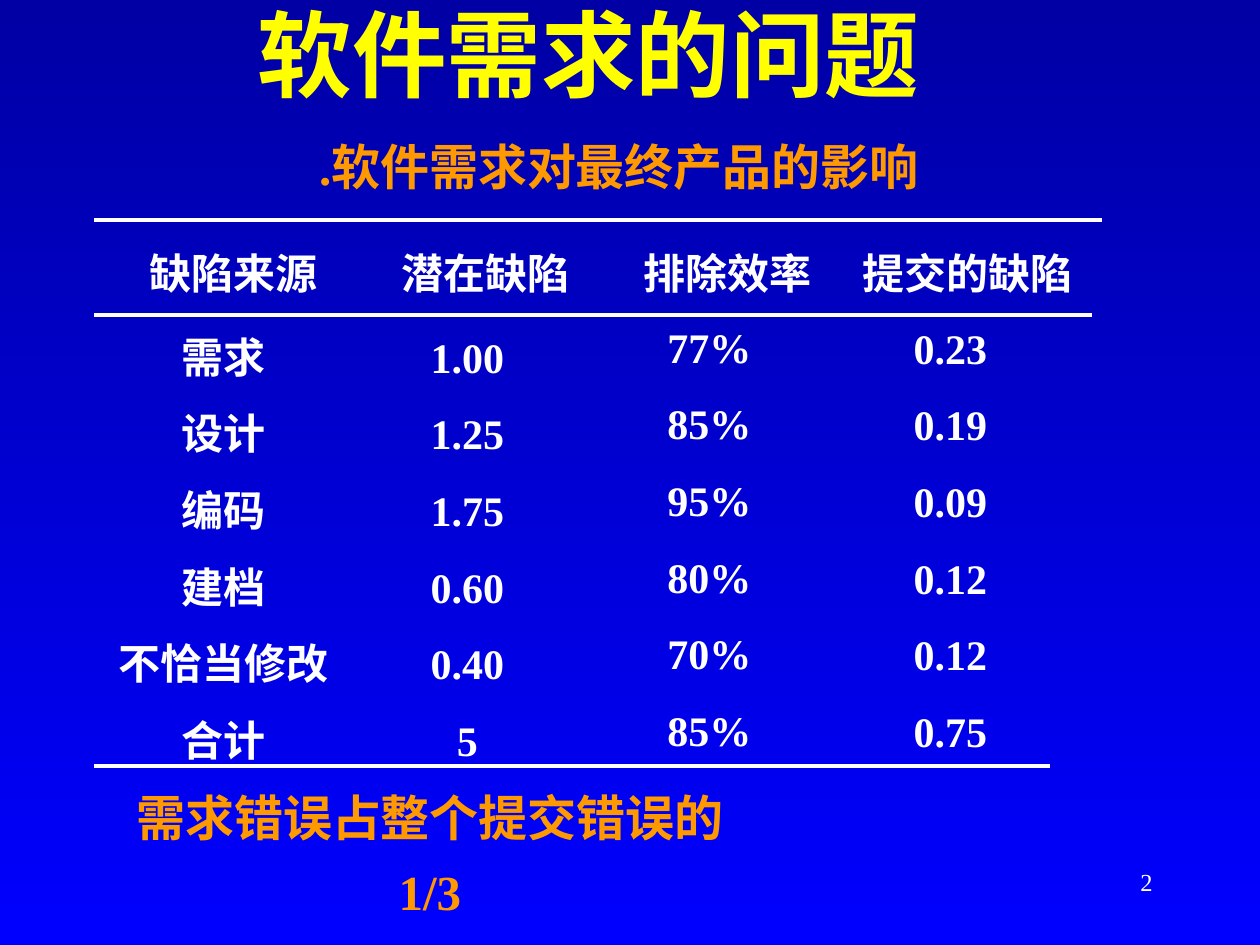
from pptx import Presentation, util as u
from pptx.dml.color import RGBColor
from pptx.enum import shapes, text
from pptx.oxml.ns import qn
from lxml import etree

PX = u.Inches(1) // 126
FONT = "Times New Roman"
WHITE = RGBColor(0xFF, 0xFF, 0xFF)
YELLOW = RGBColor(0xFF, 0xFF, 0x00)
ORANGE = RGBColor(0xFF, 0x99, 0x00)
DARK_BLUE = RGBColor(0x00, 0x00, 0xA4)
BLUE = RGBColor(0x00, 0x00, 0xFF)

presentation = Presentation()
presentation.slide_width = 1260 * PX
presentation.slide_height = 945 * PX
slide = presentation.slides.add_slide(presentation.slide_layouts[6])

fill = slide.background.fill
fill.gradient()
fill.gradient_angle = 270
for stop, color in zip(fill.gradient_stops, (DARK_BLUE, BLUE)):
    stop.color.rgb = color


def add_text(box, lines, size, color, bold=True, align=text.PP_ALIGN.CENTER,
             before=0, spacing=1.0, wrap=True):
    """Add a text box at box (left, top, width, height in px), one paragraph a line."""
    shape = slide.shapes.add_textbox(*(length * PX for length in box))
    frame = shape.text_frame
    frame.word_wrap = wrap
    frame.text = "\n".join(lines)
    for paragraph in frame.paragraphs:
        paragraph.alignment = align
        paragraph.space_before = u.Pt(before)
        paragraph.line_spacing = spacing
        paragraph.font.name = FONT
        paragraph.font.size = u.Pt(size)
        paragraph.font.bold = bold
        paragraph.font.color.rgb = color
    return frame


title = add_text((53, 0, 1071, 105), ["软件需求的问题"], 54, YELLOW)
title.vertical_anchor = text.MSO_ANCHOR.MIDDLE

subtitle = add_text((136, 116, 830, 160), [".软件需求对最终产品的影响"], 28, ORANGE, spacing=1.25)
subtitle.margin_left = 148 * PX

# Rules above the headings, below them and below the last row
for right, y in ((1102, 220), (1092, 315), (1050, 766)):
    rule = slide.shapes.add_connector(
        shapes.MSO_CONNECTOR.STRAIGHT, 94 * PX, y * PX, right * PX, y * PX)
    rule.line.color.rgb = WHITE
    rule.line.width = u.Pt(2)
    etree.SubElement(rule._element.spPr, qn("a:effectLst"))

# Heading, its left and width, then the column's left, top, width and values
columns = [
    ("缺陷来源", 135, 197, 105, 325, 237, ["需求", "设计", "编码", "建档", "不恰当修改", "合计"]),
    ("潜在缺陷", 387, 197, 378, 325, 179, ["1.00", "1.25", "1.75", "0.60", "0.40", "5"]),
    ("排除效率", 629, 197, 620, 315, 179, ["77%", "85%", "95%", "80%", "70%", "85%"]),
    ("提交的缺陷", 847, 242, 861, 316, 179, ["0.23", "0.19", "0.09", "0.12", "0.12", "0.75"]),
]
for heading, heading_left, heading_width, left, top, width, values in columns:
    add_text((heading_left, 241, heading_width, 63), [heading], 24, WHITE, before=15, wrap=False)
    add_text((left, top, width, 446), values, 24, WHITE, before=15)

add_text((94, 767, 672, 233), ["需求错误占整个提交错误的1/3"], 28, ORANGE, spacing=1.25)
add_text((903, 861, 262, 63), ["2"], 14, WHITE, bold=False, align=text.PP_ALIGN.RIGHT)

presentation.save("out.pptx")
